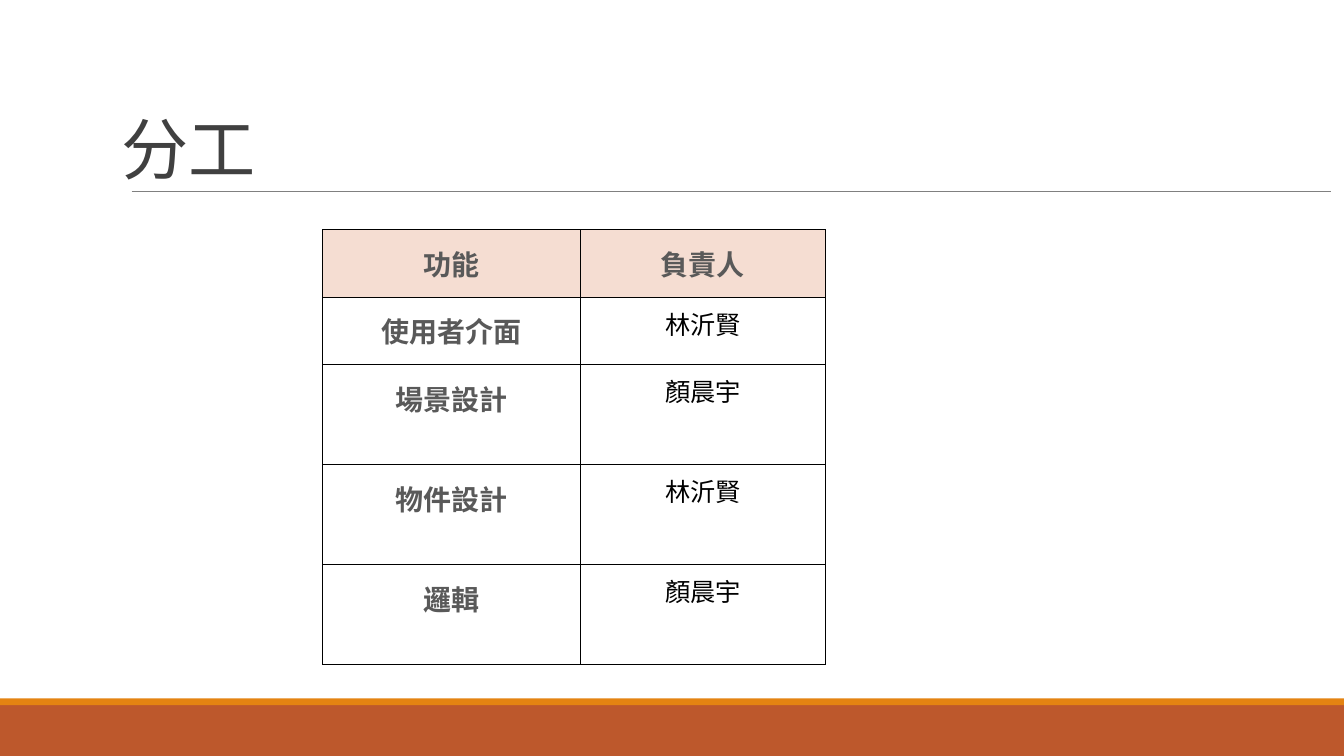
from lxml.etree import SubElement
from pptx import Presentation
from pptx.dml.color import RGBColor
from pptx.enum.shapes import MSO_CONNECTOR as CONN, MSO_SHAPE as SHAPE
from pptx.enum.text import MSO_ANCHOR as ANCHOR, PP_ALIGN as ALIGN
from pptx.oxml import parse_xml
from pptx.oxml.ns import nsdecls, qn
from pptx.util import Cm, Pt

CJK = "Noto Sans CJK SC"
INSET = Cm(0.33)
ROWS = [
    ("功能", "負責人"),
    ("使用者介面", "林沂賢"),
    ("場景設計", "顏晨宇"),
    ("物件設計", "林沂賢"),
    ("邏輯", "顏晨宇"),
]


def rgb(value):
    """Turn a hex string into a colour."""
    return RGBColor.from_string(value)


def format_text(p, size, color, name, bold=False):
    """Set the font of a paragraph and of its East Asian text."""
    font = p.font
    font.size, font.bold, font.name = Pt(size), bold, name
    font.color.rgb = rgb(color)
    for r in p.runs:
        SubElement(r.font._element, qn("a:ea"), typeface=name)


def add_bar(s, x, y, w, h, color):
    """Draw a plain filled bar."""
    sp = s.shapes.add_shape(SHAPE.RECTANGLE, x, y, w, h)
    sp.shadow.inherit = False
    sp.fill.solid()
    sp.fill.fore_color.rgb = rgb(color)
    sp.line.fill.background()


def add_footer(s, x, y, w, h):
    """Draw the footer band with a thin stripe along its top."""
    stripe = Cm(0.17)
    add_bar(s, x, y + stripe, w, h - stripe, "BD582C")
    add_bar(s, x, y, w, stripe, "E48312")


def add_title(s, x, y, w, h):
    """Place the title and the rule beneath it."""
    rule_y = y + h - Cm(0.18)
    rule = s.shapes.add_connector(
        CONN.STRAIGHT, x + Cm(0.58), rule_y, x + w - Cm(0.74), rule_y)
    rule.line.color.rgb = rgb("808080")
    rule.line.width = Pt(0.5)
    SubElement(rule._element.spPr, qn("a:effectLst"))

    sp = s.shapes.title
    sp.left, sp.top, sp.width, sp.height = x, y, w, h
    tf = sp.text_frame
    tf.text = "分工"
    tf.word_wrap = True
    tf.vertical_anchor = ANCHOR.MIDDLE
    tf.margin_left = tf.margin_right = tf.margin_top = tf.margin_bottom = INSET
    p = tf.paragraphs[0]
    p.alignment = ALIGN.LEFT
    p.line_spacing = 0.85
    format_text(p, 48, "404040", CJK)
    p.runs[0].font._element.set("spc", "-50")


def add_borders(cell):
    """Give a cell thin black borders ahead of its fill."""
    tcPr = cell._tc.get_or_add_tcPr()
    for i, side in enumerate(("lnL", "lnR", "lnT", "lnB")):
        tcPr.insert(i, parse_xml(
            f'<a:{side} {nsdecls("a")} w="{Pt(0.75)}"><a:solidFill>'
            f'<a:srgbClr val="000000"/></a:solidFill></a:{side}>'))


def fill_cell(cell, text, is_header, is_label):
    """Write and format one table cell."""
    cell.text = text
    cell.margin_left = cell.margin_right = INSET
    cell.margin_top = cell.margin_bottom = INSET
    p = cell.text_frame.paragraphs[0]
    p.alignment = ALIGN.CENTER
    if is_header or is_label:
        format_text(p, 20, "595959", CJK, True)
    else:
        format_text(p, 18, "000000", "Calibri")
    if is_header:
        cell.fill.solid()
        cell.fill.fore_color.rgb = rgb("F5DDD2")
    else:
        cell.fill.background()
    add_borders(cell)


def add_duties(s, x, y, w, h):
    """Place the table of duties, with two short rows above taller ones."""
    table = s.shapes.add_table(len(ROWS), 2, x, y, w, h).table
    label_w, short_h = Cm(6.5), Cm(1.7)
    tall_h = (h - 2 * short_h) // (len(ROWS) - 2)
    table.columns[0].width = label_w
    table.columns[1].width = w - label_w
    for i, row in enumerate(ROWS):
        table.rows[i].height = short_h if i < 2 else tall_h
        for j, text in enumerate(row):
            fill_cell(table.cell(i, j), text, i == 0, j == 0)


def main():
    """Build the slide and save it."""
    prs = Presentation()
    prs.slide_width, prs.slide_height = Cm(33.87), Cm(19.05)
    s = prs.slides.add_slide(prs.slide_layouts[5])
    footer_h = Cm(1.45)
    add_footer(s, 0, prs.slide_height - footer_h, prs.slide_width, footer_h)
    add_title(s, Cm(2.74), Cm(2.74), Cm(31.55), Cm(2.26))
    add_duties(s, Cm(8.13), Cm(5.79), Cm(12.67), Cm(10.96))
    prs.save("out.pptx")


if __name__ == "__main__":
    main()
